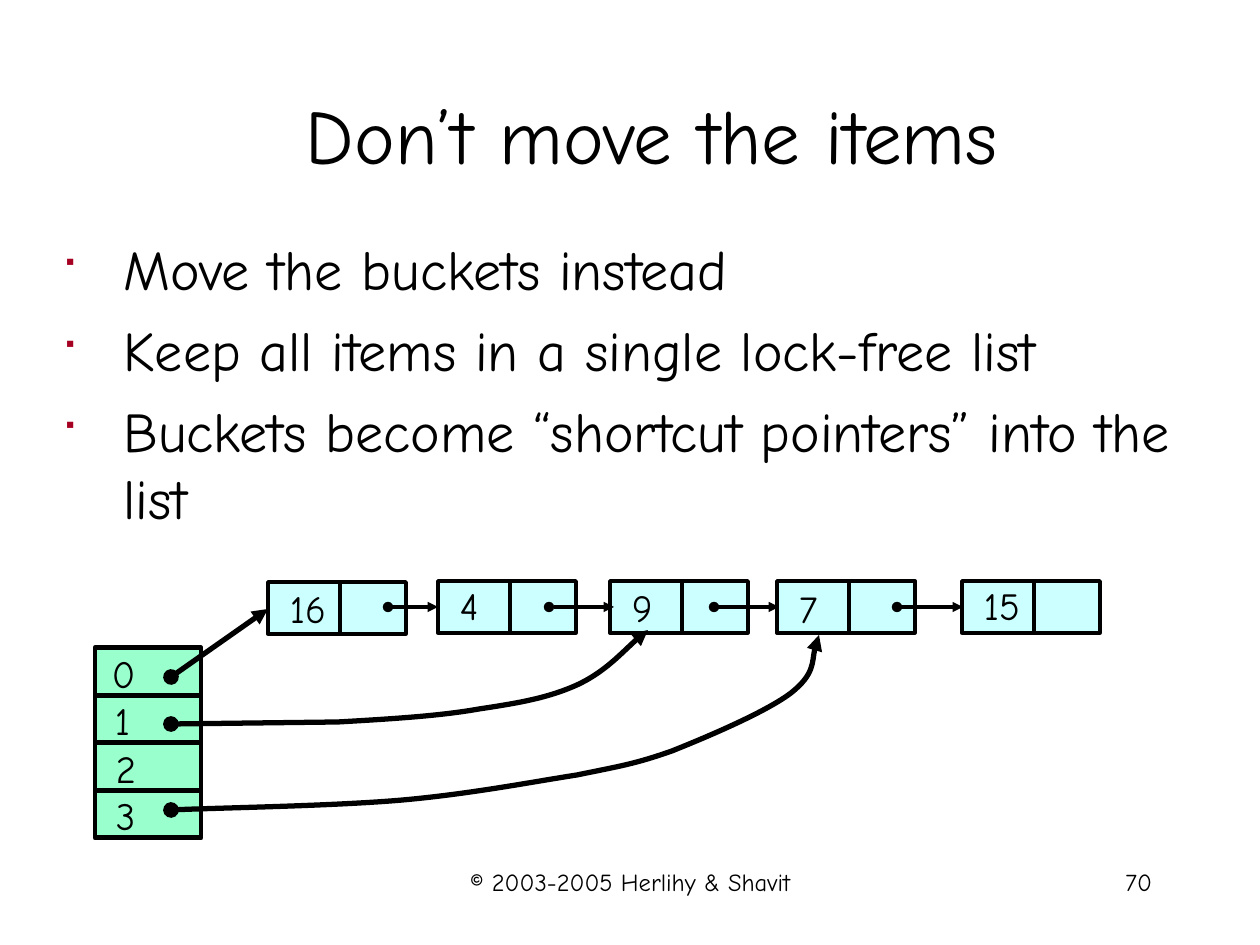
import lxml.etree
import pptx
import pptx.dml.color
import pptx.enum.shapes
import pptx.enum.text
import pptx.oxml.ns
import pptx.util

# Content (all lengths in px)
TITLE = "Don’t move the items"
BULLETS = [
    "Move the buckets instead",
    "Keep all items in a single lock-free list",
    "Buckets become “shortcut pointers” into the list",
]
# label, left, top, label top, label width
NODES = [
    ("16", 268, 582, 579, 59),
    ("4", 438, 581, 576, 42),
    ("9", 610, 581, 578, 42),
    ("7", 777, 581, 579, 42),
    ("15", 962, 581, 576, 59),
]
NODE_LINKS = [(388, 438), (549, 614), (714, 779), (897, 963)]
# label, label left, label width
BUCKETS = [("0", 112, 24), ("1", 115, 15), ("2", 116, 20), ("3", 116, 20)]
# start point, then segments: one point for a line, three for a cubic curve
SHORTCUTS = [
    ((171, 724), [
        ((338, 722),),
        ((390, 719), (440, 716), (479, 709)),
        ((519, 703), (548, 698), (577, 685)),
        ((605, 672), (633, 641), (648, 630)),
    ]),
    ((171, 810), [
        ((210, 808), (335, 806), (403, 800)),
        ((470, 794), (532, 782), (577, 775)),
        ((621, 766), (635, 764), (672, 751)),
        ((707, 737), (766, 712), (791, 693)),
        ((815, 674), (813, 646), (819, 635)),
    ]),
]
FOOTERS = [
    ("© 2003-2005 Herlihy & Shavit", (431, 861, 399, 63), "CENTER"),
    ("70", (903, 861, 262, 63), "RIGHT"),
]
COLORS = {"text": "000000", "line": "000000", "node": "CCFFFF",
          "bucket": "99FFCC", "bullet": "A50021"}
FONT, BULLET_FONT = "Comic Neue", "Wingdings"
SCALE = 914400 / 126
NODE_WIDTH, NODE_HEIGHT, NODE_SPLIT, LINK_Y = 138, 52, 72, 607
BUCKET_LEFT, BUCKET_TOP, BUCKET_WIDTH, BUCKET_HEIGHT = 95, 648, 106, 47.5


def emu(*lengths):
    return [round(length * SCALE) for length in lengths]


def color(name):
    return pptx.dml.color.RGBColor.from_string(COLORS[name])


def add_element(parent, tag, **values):
    return lxml.etree.SubElement(parent, pptx.oxml.ns.qn(tag), values)


def set_values(target, values):
    for name, value in values.items():
        setattr(target, name, value)


def write(paragraph, text, size, **layout):
    run = paragraph.add_run()
    run.text = text
    set_values(run.font, {"name": FONT, "size": pptx.util.Pt(size), "bold": False})
    run.font.color.rgb = color("text")
    set_values(paragraph, layout)


def place(shape, box):
    set_values(shape, dict(zip(("left", "top", "width", "height"), emu(*box))))


def add_text(text, box, size, insets=(13, 6), wrap=False, **layout):
    frame = slide.shapes.add_textbox(*emu(*box)).text_frame
    side, end = emu(*insets)
    set_values(frame, {"word_wrap": wrap, "margin_left": side, "margin_right": side,
                       "margin_top": end, "margin_bottom": end})
    write(frame.paragraphs[0], text, size, **layout)


def style_line(shape, width, arrow=False):
    shape.line.color.rgb = color("line")
    shape.line.width = pptx.util.Pt(width)
    if arrow:
        line = shape.line._get_or_add_ln()
        add_element(line, "a:headEnd", type="oval")
        add_element(line, "a:tailEnd", type="triangle")


def add_box(box, fill, width):
    shape = slide.shapes.add_shape(
        pptx.enum.shapes.MSO_SHAPE.ROUNDED_RECTANGLE, *emu(*box))
    shape.adjustments[0] = 0
    shape.shadow.inherit = False
    shape.fill.solid()
    shape.fill.fore_color.rgb = color(fill)
    style_line(shape, width)


def add_line(start, end, width, arrow=False):
    line = slide.shapes.add_connector(
        pptx.enum.shapes.MSO_CONNECTOR.STRAIGHT, *emu(*start, *end))
    style_line(line, width, arrow)
    add_element(line._element.spPr, "a:effectLst")


def add_curve(start, segments):
    builder = slide.shapes.build_freeform(*emu(*start))
    builder.add_line_segments(
        [emu(*point) for segment in segments for point in segment], close=False)
    curve = builder.convert_to_shape()
    # Group the points of each cubic segment into one curve command
    outline = next(curve._element.iter(pptx.oxml.ns.qn("a:path")))
    steps = iter(list(outline)[1:])
    for segment in segments:
        group = [next(steps) for _ in segment]
        if len(group) == 3:
            cubic = add_element(outline, "a:cubicBezTo")
            for step in group:
                cubic.append(step[0])
                outline.remove(step)
    curve.shadow.inherit = False
    curve.fill.background()
    style_line(curve, 3, arrow=True)


def add_bullet(paragraph):
    properties = paragraph._p.get_or_add_pPr()
    set_indent = {"marL": "457200", "indent": "-457200"}
    for name, value in set_indent.items():
        properties.set(name, value)
    add_element(add_element(properties, "a:buClr"), "a:srgbClr", val=COLORS["bullet"])
    add_element(properties, "a:buSzPct", val="75000")
    add_element(properties, "a:buFont", typeface=BULLET_FONT, charset="2")
    add_element(properties, "a:buChar", char="■")


presentation = pptx.Presentation()
presentation.slide_width, presentation.slide_height = emu(1260, 945)
slide = presentation.slides.add_slide(presentation.slide_layouts[1])
title, body = slide.placeholders
ALIGN = pptx.enum.text.PP_ALIGN

# Title and bullet list
place(title, (114, 57, 1076, 153))
place(body, (48, 228, 1153, 314))
for placeholder, anchor in ((title, "MIDDLE"), (body, "TOP")):
    set_values(placeholder.text_frame, {
        "word_wrap": True,
        "auto_size": pptx.enum.text.MSO_AUTO_SIZE.NONE,
        "vertical_anchor": pptx.enum.text.MSO_ANCHOR[anchor]})
write(title.text_frame.paragraphs[0], TITLE, 44, alignment=ALIGN.CENTER)
for index, text in enumerate(BULLETS):
    frame = body.text_frame
    paragraph = frame.add_paragraph() if index else frame.paragraphs[0]
    add_bullet(paragraph)
    write(paragraph, text, 32, space_before=pptx.util.Pt(8 if index else 0))

# Linked list nodes
for label, left, top, label_top, label_width in NODES:
    add_box((left, top, NODE_WIDTH, NODE_HEIGHT), "node", 1.98)
    split = left + NODE_SPLIT
    add_line((split, top), (split, top + NODE_HEIGHT), 1.98)
    add_text(label, (left + 11, label_top, label_width, 58), 22, (11, 6))
for start, end in NODE_LINKS:
    add_line((start, LINK_Y), (end, LINK_Y), 1.98, arrow=True)

# Bucket table
for index, (label, label_left, label_width) in enumerate(BUCKETS):
    top = BUCKET_TOP + index * BUCKET_HEIGHT
    add_box((BUCKET_LEFT, top, BUCKET_WIDTH, BUCKET_HEIGHT), "bucket", 2.83)
    add_text(label, (label_left, top - 5, label_width, 53), 22, (0, 0), line_spacing=1.15)

# Shortcut pointers from buckets to nodes
add_line((171, 677), (268, 609), 3, arrow=True)
for start, segments in SHORTCUTS:
    add_curve(start, segments)

# Footer and slide number
for text, box, align in FOOTERS:
    add_text(text, box, 14, wrap=True, alignment=ALIGN[align])

presentation.save("out.pptx")
